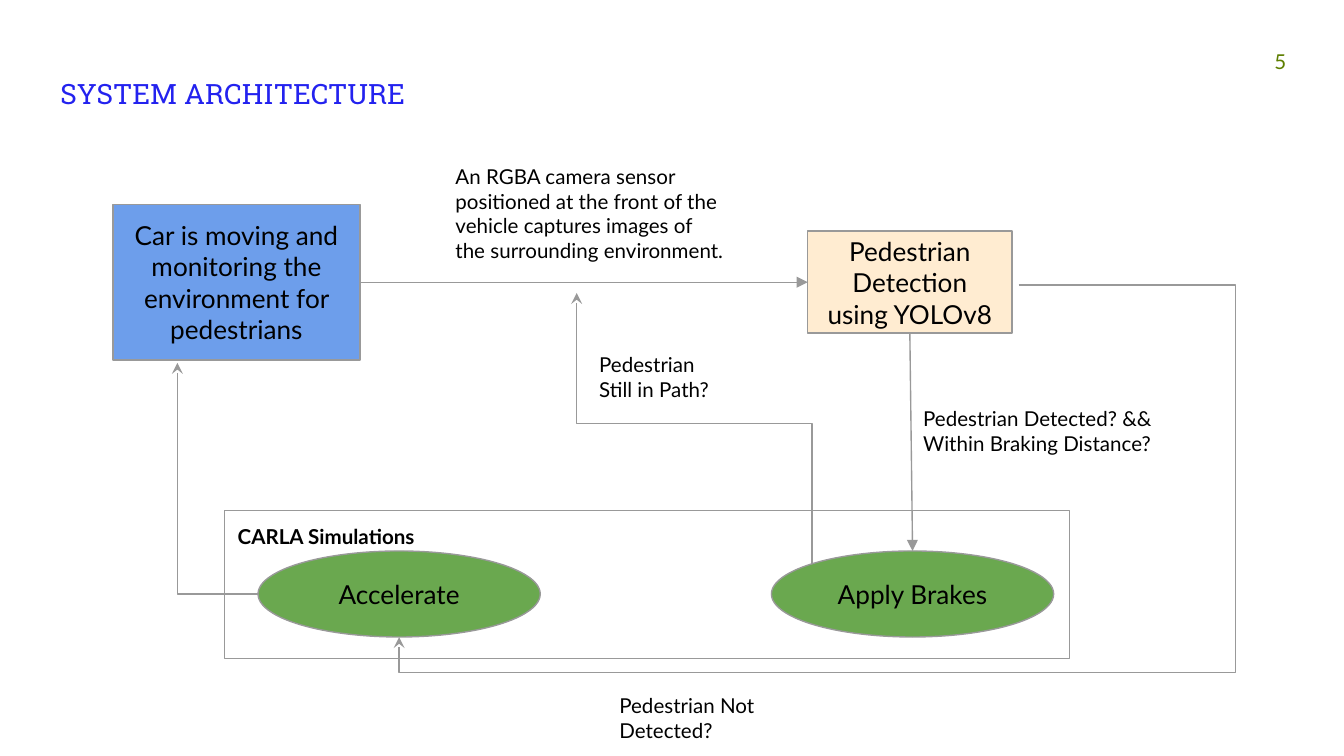
from lxml import etree
from pptx import Presentation, util as u
from pptx.dml.color import RGBColor
from pptx.enum import shapes, text
from pptx.oxml.ns import qn

W = 10
H = W * 9 / 16
INK, LINE, GREEN = "000000", "999999", "6AA84F"
LEFT, CENTER, RIGHT = text.PP_ALIGN.LEFT, text.PP_ALIGN.CENTER, text.PP_ALIGN.RIGHT
TOP, MIDDLE = text.MSO_ANCHOR.TOP, text.MSO_ANCHOR.MIDDLE
RECT, OVAL = shapes.MSO_SHAPE.RECTANGLE, shapes.MSO_SHAPE.OVAL

# Content: boxes are left, top, width, height in inches
TITLE = ("SYSTEM ARCHITECTURE", (0.35, 0.47, 3, 0.59))
NUMBER = ("5", (9.29, 0.27, 0.38, 0.19))
OVAL_TOP, OVAL_W, OVAL_H = 4.1, 2.1, 0.64
NODES = [
    ("Car is moving and monitoring the environment for pedestrians",
     RECT, (0.84, 1.52, 1.84, 1.16), "6D9EEB"),
    ("Pedestrian Detection using YOLOv8", RECT, (6.01, 1.72, 1.52, 0.76), "FFECD1"),
    ("Accelerate", OVAL, (1.92, OVAL_TOP, OVAL_W, OVAL_H), GREEN),
    ("Apply Brakes", OVAL, (5.74, OVAL_TOP, OVAL_W, OVAL_H), GREEN),
]
FRAME = ("CARLA Simulations", (1.67, 3.8, 6.29, 1.1))
LABELS = [
    (["An RGBA camera sensor positioned at the front of the vehicle captures "
      "images of the surrounding environment."], (3.29, 1.12, 2.22, 0.86)),
    (["Pedestrian Detected? &&", "Within Braking Distance?"], (6.77, 2.92, 1.93, 0.59)),
    (["Pedestrian Not Detected?"], (4.51, 5.06, 1.93, 0.38)),
    (["Pedestrian Still in Path?"], (4.36, 2.52, 1.04, 0.59)),
]
ARROWS = [((2.68, 2.1), (6.01, 2.1)), ((6.77, 2.48), (6.79, OVAL_TOP))]
# Elbows: start, end, preset, bends as shares, starts vertically, arrow end
ELBOWS = [
    ((4.29, 2.18), (6.04, 4.2), "bentConnector3", [0.48], True, "headEnd"),
    ((1.32, 2.7), (1.92, 4.42), "bentConnector2", [], True, "headEnd"),
    ((7.58, 2.12), (2.97, 4.74), "bentConnector4", [-0.35, 1.1], False, "tailEnd"),
]

prs = Presentation()
prs.slide_width, prs.slide_height = u.Inches(W), u.Inches(H)
s = prs.slides.add_slide(prs.slide_layouts[5])


def rgb(value):
    return RGBColor.from_string(value)


def place(sp, box):
    sp.left, sp.top, sp.width, sp.height = map(u.Inches, box)


def write(sp, lines, size, color=INK, font="Lato", align=LEFT, anchor=TOP, bold=False):
    tf = sp.text_frame
    tf.word_wrap, tf.auto_size, tf.vertical_anchor = True, text.MSO_AUTO_SIZE.NONE, anchor
    tf.margin_left = tf.margin_right = tf.margin_top = tf.margin_bottom = u.Inches(0.1)
    for i, line in enumerate(lines):
        p = tf.add_paragraph() if i else tf.paragraphs[0]
        p.alignment = align
        r = p.add_run()
        r.text = line
        r.font.size, r.font.name, r.font.bold = u.Pt(size), font, bold
        r.font.color.rgb = rgb(color)


def outline(sp):
    sp.line.color.rgb, sp.line.width = rgb(LINE), u.Pt(0.75)


def add_node(kind, box, fill=None):
    sp = s.shapes.add_shape(kind, *map(u.Inches, box))
    sp.shadow.inherit = False
    if fill:
        sp.fill.solid()
        sp.fill.fore_color.rgb = rgb(fill)
    else:
        sp.fill.background()
    outline(sp)
    return sp


def add_label(lines, box, size=11, **style):
    write(s.shapes.add_textbox(*map(u.Inches, box)), lines, size, **style)


def add_line(kind, start, end, arrow_end, arrow):
    cx = s.shapes.add_connector(kind, *map(u.Inches, (*start, *end)))
    outline(cx)
    props = cx._element.spPr
    etree.SubElement(props.find(qn("a:ln")), qn("a:" + arrow_end), type=arrow)
    etree.SubElement(props, qn("a:effectLst"))
    return cx


def add_elbow(start, end, preset, bends, vertical, arrow_end):
    cx = add_line(shapes.MSO_CONNECTOR.ELBOW, start, end, arrow_end, "stealth")
    xfrm = cx._element.spPr.find(qn("a:xfrm"))
    if vertical:  # a quarter turn swaps the sides around the same centre
        (x1, y1), (x2, y2) = start, end
        w, h = abs(y2 - y1), abs(x2 - x1)
        place(cx, ((x1 + x2 - w) / 2, (y1 + y2 - h) / 2, w, h))
        xfrm.set("rot", str(270 * 60000))
    xfrm.set("flipH", "1")
    geom = cx._element.spPr.find(qn("a:prstGeom"))
    geom.set("prst", preset)
    guides = geom.find(qn("a:avLst"))
    for i, bend in enumerate(bends, 1):
        etree.SubElement(guides, qn("a:gd"), name=f"adj{i}",
                         fmla=f"val {round(bend * 100000)}")


# Title and slide number
title = s.shapes.title
place(title, TITLE[1])
write(title, [TITLE[0]], 15, "2322EF", "Roboto Slab")
add_label([NUMBER[0]], NUMBER[1], color="5E7F00", align=RIGHT)

# Flow nodes
for words, kind, box, fill in NODES:
    write(add_node(kind, box, fill), [words], 14, align=CENTER, anchor=MIDDLE)

# Connections and their labels
for start, end in ARROWS:
    add_line(shapes.MSO_CONNECTOR.STRAIGHT, start, end, "tailEnd", "triangle")
for elbow in ELBOWS:
    add_elbow(*elbow)
for lines, box in LABELS:
    add_label(lines, box)

# Simulation frame
write(add_node(RECT, FRAME[1]), [FRAME[0]], 11, bold=True)

prs.save("out.pptx")
